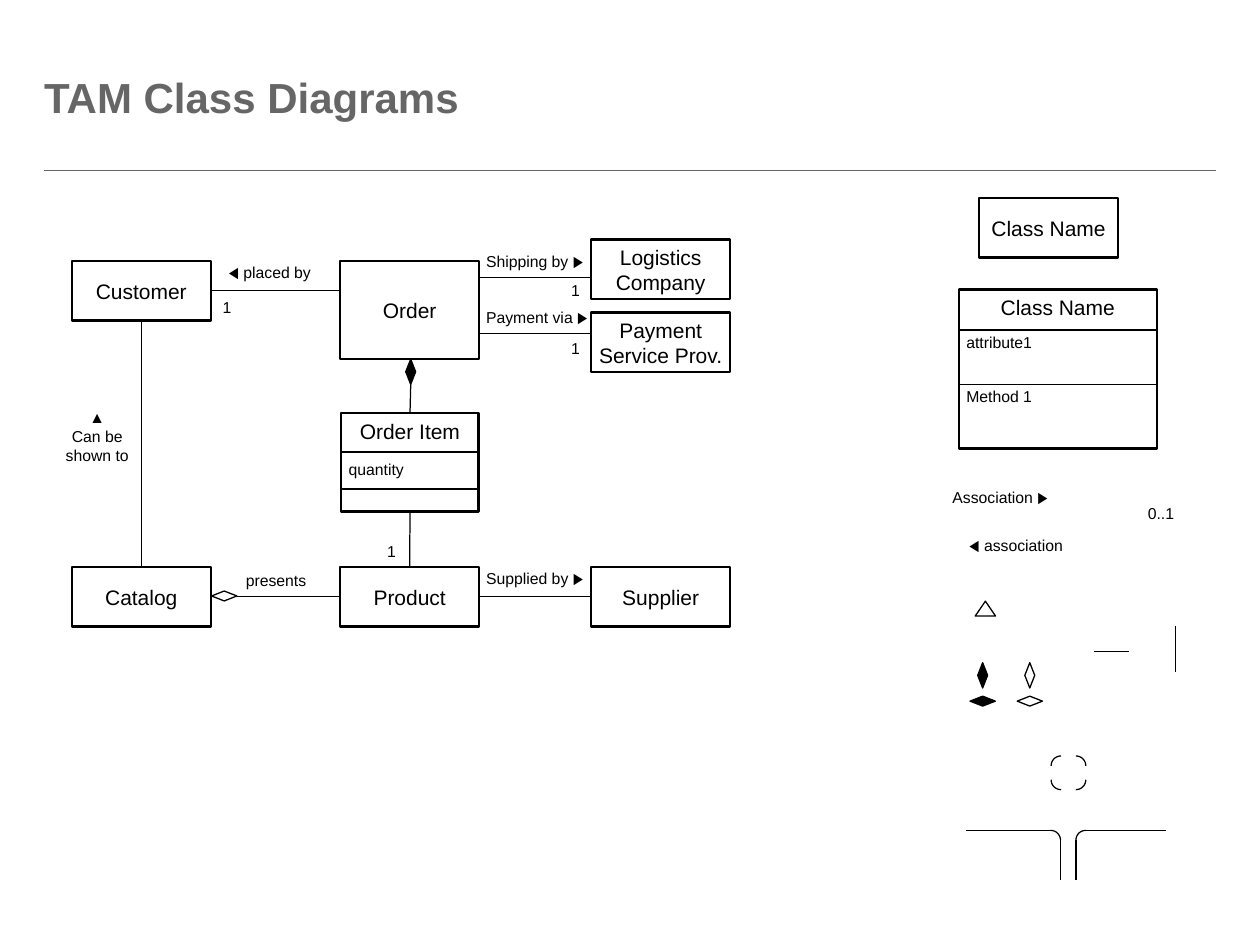
from math import cos, radians, sin

from lxml.etree import SubElement
from pptx import Presentation
from pptx.dml.color import RGBColor
from pptx.enum.shapes import MSO_CONNECTOR, MSO_SHAPE
from pptx.enum.text import MSO_ANCHOR, MSO_AUTO_SIZE, PP_ALIGN
from pptx.oxml.ns import qn
from pptx.util import Cm, Pt

BLACK = RGBColor(0x00, 0x00, 0x00)
WHITE = RGBColor(0xFF, 0xFF, 0xFF)
GREY = RGBColor(0x66, 0x66, 0x66)
FONT = "Arial"

TOP, LEFT, BOTTOM, RIGHT = range(4)  # connection sites of a rectangle
CLASS_W, CLASS_H, TALL_H = 2.8, 1.2, 1.98
LABEL_W, COUNT_W, LABEL_H = 2.69, 1.12, 0.64
DIAMOND_W, DIAMOND_H = 0.2, 0.51
ARC_RADIUS = 0.2
COL_1, COL_2, COL_3 = 1.45, 6.86, 11.92
ROW_1, ROW_2 = 5.26, 11.43


def add_text(frame, paragraphs, size, align, color=BLACK, bold=False):
    for index, text in enumerate(paragraphs):
        paragraph = frame.add_paragraph() if index else frame.paragraphs[0]
        paragraph.alignment = align
        run = paragraph.add_run()
        run.text = text
        font = run.font
        font.name, font.size, font.bold = FONT, Pt(size), bold
        font.color.rgb = color


def set_insets(frame, left, top, right, bottom):
    frame.margin_left, frame.margin_top = Cm(left), Cm(top)
    frame.margin_right, frame.margin_bottom = Cm(right), Cm(bottom)


def add_outlined(shapes, kind, left, top, width, height, fill=WHITE, weight=0.75):
    shape = shapes.add_shape(kind, Cm(left), Cm(top), Cm(width), Cm(height))
    shape.shadow.inherit = False
    shape.fill.solid()
    shape.fill.fore_color.rgb = fill
    shape.line.color.rgb = BLACK
    shape.line.width = Pt(weight)
    return shape


def add_class(shapes, name, left, top, width=CLASS_W, height=CLASS_H,
              anchor=MSO_ANCHOR.MIDDLE):
    box = add_outlined(shapes, MSO_SHAPE.RECTANGLE, left, top, width, height, weight=1.4)
    frame = box.text_frame
    frame.word_wrap = True
    frame.vertical_anchor = anchor
    set_insets(frame, 0.1, 0.1, 0.1, 0.1)
    add_text(frame, [name], 12, PP_ALIGN.CENTER)
    return box


def add_line(shapes, x1, y1, x2, y2, weight=0.7, color=BLACK):
    line = shapes.add_connector(MSO_CONNECTOR.STRAIGHT, Cm(x1), Cm(y1), Cm(x2), Cm(y2))
    line.line.color.rgb = color
    line.line.width = Pt(weight)
    SubElement(line._element.spPr, qn("a:effectLst"))
    return line


def add_association(shapes, source, source_site, target, target_site):
    line = add_line(shapes, 0, 0, 1, 1)
    line.begin_connect(source, source_site)
    line.end_connect(target, target_site)


def add_detailed_class(slide, name, left, top, width, height, dividers, members):
    """Group a class box with dividers and members given as (text, top, height)."""
    shapes = slide.shapes.add_group_shape().shapes
    box = add_class(shapes, name, left, top, width, height, MSO_ANCHOR.TOP)
    for y in dividers:
        add_line(shapes, left, y, left + width, y, weight=1)
    for text, member_top, member_height in members:
        member = shapes.add_textbox(Cm(left), Cm(member_top), Cm(width), Cm(member_height))
        member.text_frame.word_wrap = True
        set_insets(member.text_frame, 0.15, 0.05, 0.1, 0.05)
        add_text(member.text_frame, [text], 9, PP_ALIGN.LEFT)
    return box


def add_label(shapes, paragraphs, left, top, width=LABEL_W, height=LABEL_H,
              align=PP_ALIGN.LEFT):
    label = shapes.add_textbox(Cm(left), Cm(top), Cm(width), Cm(height))
    frame = label.text_frame
    frame.word_wrap = True
    frame.auto_size = MSO_AUTO_SIZE.SHAPE_TO_FIT_TEXT
    add_text(frame, paragraphs, 9, align)


def add_diamond(shapes, left, top, fill, rotation=0):
    diamond = add_outlined(shapes, MSO_SHAPE.DIAMOND, left, top, DIAMOND_W, DIAMOND_H, fill)
    diamond.rotation = rotation
    return diamond


def add_quarter_arc(shapes, center_x, center_y, start):
    """Draw a quarter circle clockwise from the start angle (0 points right)."""
    angles = [radians(start + step) for step in range(0, 91, 10)]
    points = [(Cm(center_x + ARC_RADIUS * cos(a)), Cm(center_y + ARC_RADIUS * sin(a)))
              for a in angles]
    builder = shapes.build_freeform(*points[0])
    builder.add_line_segments(points[1:], close=False)
    arc = builder.convert_to_shape()
    arc.shadow.inherit = False
    arc.fill.background()
    arc.line.color.rgb = BLACK
    arc.line.width = Pt(0.7)


def add_title(slide):
    title = slide.shapes.title
    title.left, title.top, title.width, title.height = Cm(0.89), Cm(0.89), Cm(23.6), Cm(2.11)
    title.text_frame.vertical_anchor = MSO_ANCHOR.MIDDLE
    set_insets(title.text_frame, 0, 0, 0, 0)
    add_text(title.text_frame, ["TAM Class Diagrams"], 24, PP_ALIGN.LEFT, GREY, bold=True)
    add_line(slide.shapes, 0.89, 3.43, 24.51, 3.43, weight=0.5, color=GREY)


def add_order_model(slide):
    shapes = slide.shapes
    customer = add_class(shapes, "Customer", COL_1, ROW_1)
    add_class(shapes, "Order", COL_2, ROW_1, height=TALL_H)
    catalog = add_class(shapes, "Catalog", COL_1, ROW_2)
    product = add_class(shapes, "Product", COL_2, ROW_2)
    supplier = add_class(shapes, "Supplier", COL_3, ROW_2)
    add_class(shapes, "Logistics Company", COL_3, 4.83)
    add_class(shapes, "Payment Service Prov.", COL_3, 6.3)
    order_item = add_detailed_class(slide, "Order Item", 6.88, 8.33, 2.77, TALL_H,
                                    [9.12, 9.86], [("quantity", 9.22, 0.51)])

    composition = add_diamond(shapes, 8.18, 7.24, BLACK)
    add_diamond(shapes, 4.42, 11.76, WHITE, rotation=90)
    add_association(shapes, order_item, TOP, composition, BOTTOM)
    add_association(shapes, product, TOP, order_item, BOTTOM)
    add_association(shapes, catalog, TOP, customer, BOTTOM)
    add_association(shapes, product, RIGHT, supplier, LEFT)
    row_2_middle = ROW_2 + CLASS_H / 2
    add_line(shapes, 4.78, row_2_middle, COL_2, row_2_middle).end_connect(product, LEFT)
    row_1_middle = ROW_1 + CLASS_H / 2
    add_line(shapes, 4.25, row_1_middle, COL_2, row_1_middle).begin_connect(customer, RIGHT)
    for y in (5.59, 6.73):
        add_line(shapes, COL_2 + CLASS_W, y, COL_3, y)

    add_label(shapes, [" ◀ placed by"], 4.27, 5.18)
    add_label(shapes, ["▲", "Can be shown to"], 1.02, 8.1, 1.88, 1.42, PP_ALIGN.CENTER)
    add_label(shapes, ["presents"], 4.22, 11.38, align=PP_ALIGN.CENTER)
    for text, top in (("Shipping by ▶", 4.95), ("Payment via ▶", 6.07),
                      ("Supplied by ▶", 11.35)):
        add_label(shapes, [text], 9.55, top)
    add_label(shapes, ["1"], 4.24, 5.87, COUNT_W)
    for left, top in ((10.82, 5.54), (10.82, 6.71), (7.11, 10.8)):
        add_label(shapes, ["1"], left, top, COUNT_W, align=PP_ALIGN.RIGHT)


def add_notation_kit(slide):
    shapes = slide.shapes
    add_class(shapes, "Class Name", 19.74, 3.99)
    add_detailed_class(slide, "Class Name", 19.33, 5.84, 3.99, 3.2, [6.65, 7.75],
                       [("attribute1", 6.65, 1.1), ("Method 1", 7.75, 1.29)])
    add_label(shapes, ["Association ▶"], 18.95, 9.7)
    add_label(shapes, [" ◀ association"], 19.2, 10.67)
    add_label(shapes, ["0..1"], 22.89, 10.03, COUNT_W)

    add_outlined(shapes, MSO_SHAPE.ISOSCELES_TRIANGLE, 19.66, 12.12, 0.41, 0.3)
    for left, fill in ((19.71, BLACK), (20.66, WHITE)):
        add_diamond(shapes, left, 13.36, fill)
        add_diamond(shapes, left, 13.88, fill, rotation=90)
    add_line(shapes, 22.05, 13.13, 22.76, 13.13)
    add_line(shapes, 23.7, 13.54, 23.7, 12.62)

    for x, y, start in ((21.39, 15.44, 180), (21.69, 15.44, 270),
                        (21.69, 15.72, 0), (21.39, 15.72, 90)):
        add_quarter_arc(shapes, x, y, start)
    bend_y = 16.94
    for outer_x, bend_x, stem_x, start in ((19.48, 21.18, 21.38, 270),
                                           (23.5, 21.89, 21.69, 180)):
        add_line(shapes, outer_x, bend_y - ARC_RADIUS, bend_x, bend_y - ARC_RADIUS)
        add_quarter_arc(shapes, bend_x, bend_y, start)
        add_line(shapes, stem_x, bend_y, stem_x, 17.73)


def main():
    deck = Presentation()
    deck.slide_width, deck.slide_height = Cm(25.4), Cm(19.05)
    slide = deck.slides.add_slide(deck.slide_layouts[5])
    add_title(slide)
    add_order_model(slide)
    add_notation_kit(slide)
    deck.save("out.pptx")


if __name__ == "__main__":
    main()
